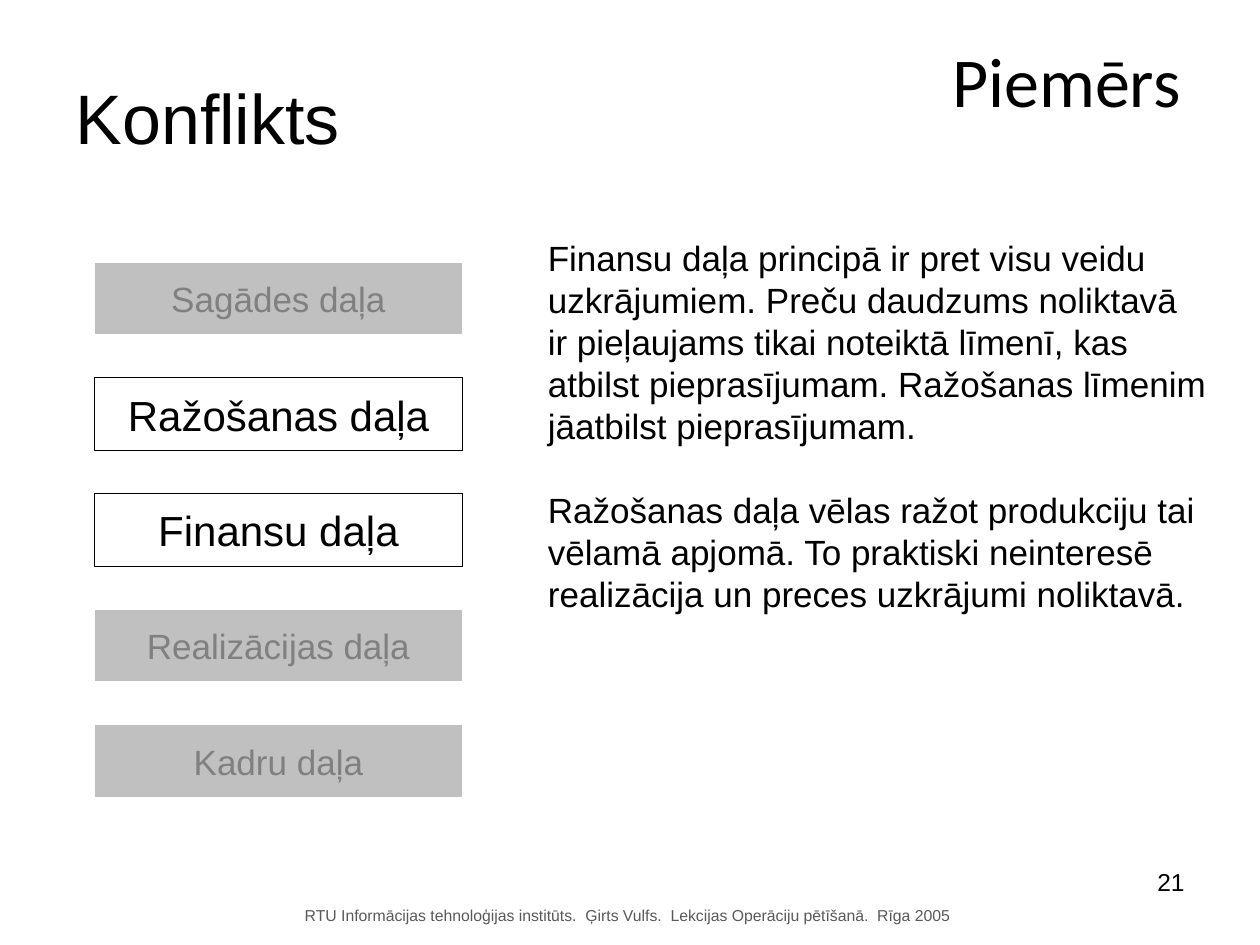
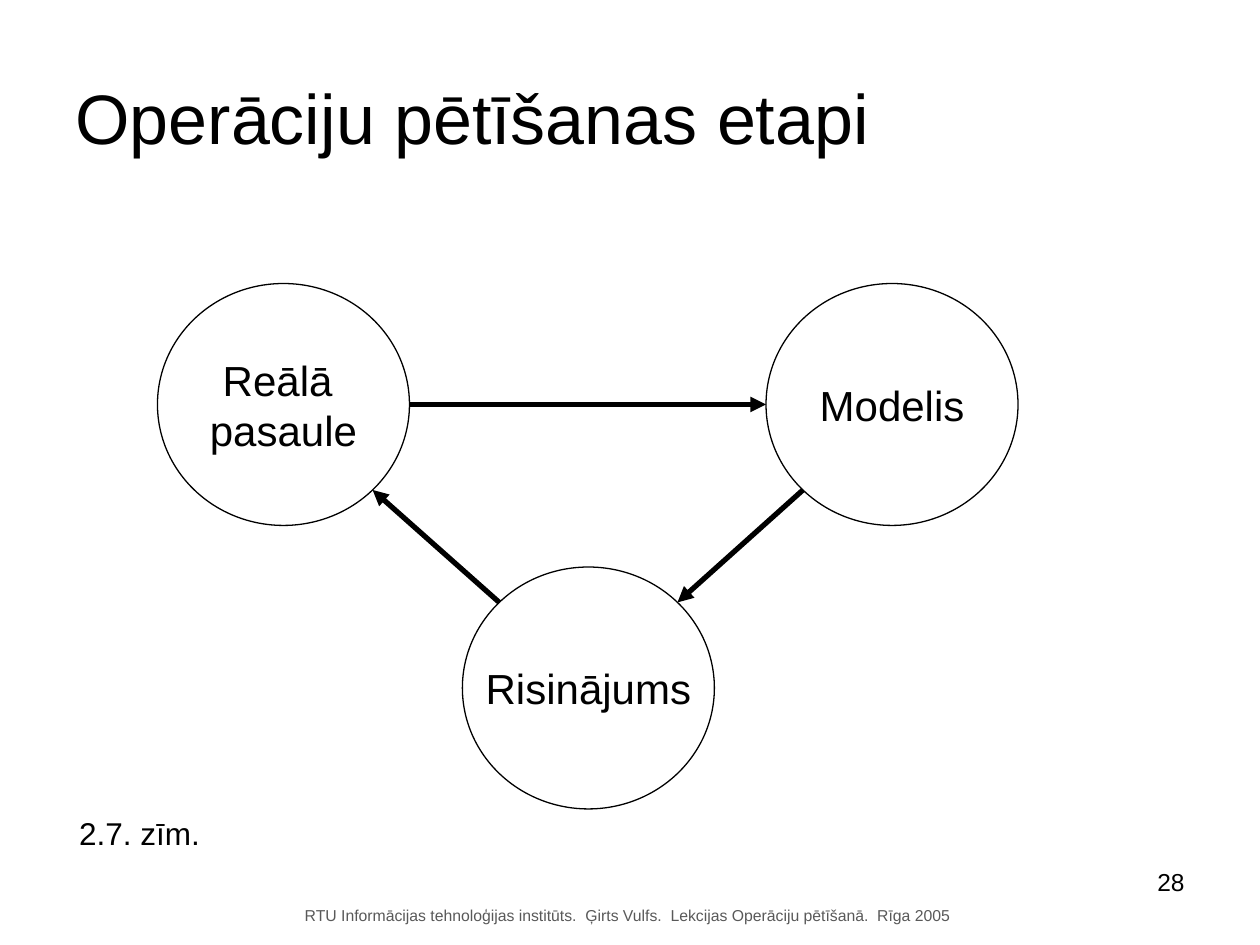
"""Build two lecture slides on conflicts between departments and research stages."""
from dataclasses import dataclass
from math import cos, radians, sin

from lxml.etree import SubElement
from pptx import Presentation
from pptx.dml.color import RGBColor
from pptx.enum.shapes import MSO_CONNECTOR, MSO_SHAPE
from pptx.enum.text import MSO_ANCHOR, MSO_AUTO_SIZE, PP_ALIGN
from pptx.oxml.ns import qn
from pptx.util import Inches, Pt

BLACK, WHITE, SILVER, GREY, FOOTER_GREY = "000000", "FFFFFF", "C0C0C0", "808080", "595959"
FOOTER = "RTU Informācijas tehnoloģijas institūts.  Ģirts Vulfs.  Lekcijas Operāciju pētīšanā.  Rīga 2005"
MARGINS = {
    "margin_left": Inches(0.1),
    "margin_right": Inches(0.1),
    "margin_top": Inches(0.05),
    "margin_bottom": Inches(0.05),
}
FREE_TEXT = {**MARGINS, "word_wrap": False, "auto_size": MSO_AUTO_SIZE.SHAPE_TO_FIT_TEXT}
CENTRED = {**MARGINS, "word_wrap": False, "vertical_anchor": MSO_ANCHOR.MIDDLE}
TITLE_FRAME = {
    **MARGINS,
    "word_wrap": True,
    "auto_size": MSO_AUTO_SIZE.NONE,
    "vertical_anchor": MSO_ANCHOR.MIDDLE,
}
PAGE_FRAME = {**MARGINS, "word_wrap": True}


@dataclass(frozen=True)
class Box:
    left: float
    top: float
    width: float
    height: float

    def lengths(self) -> tuple:
        return tuple(Inches(v) for v in (self.left, self.top, self.width, self.height))


@dataclass(frozen=True)
class TextStyle:
    size: float
    color: str = BLACK
    font: str = "Arial"
    align: PP_ALIGN = PP_ALIGN.LEFT


@dataclass(frozen=True)
class Department:
    name: str
    in_conflict: bool = False


@dataclass(frozen=True)
class Stage:
    name: str
    center_x: float
    center_y: float

    def box(self) -> Box:
        return Box(self.center_x - STAGE_RX, self.center_y - STAGE_RY, 2 * STAGE_RX, 2 * STAGE_RY)

    def edge(self, degrees: float) -> tuple:
        angle = radians(degrees)
        return (
            Inches(self.center_x + STAGE_RX * cos(angle)),
            Inches(self.center_y + STAGE_RY * sin(angle)),
        )


@dataclass(frozen=True)
class Transition:
    source: Stage
    source_angle: float
    target: Stage
    target_angle: float


TITLE_BOX = Box(0.5, 0.3, 9, 1.25)
FOOTER_BOX = Box(2.32, 7.14, 5.33, 0.25)
PAGE_BOX = Box(8.7, 6.83, 0.8, 0.52)

DEPARTMENTS = [
    Department("Sagādes daļa"),
    Department("Ražošanas daļa", True),
    Department("Finansu daļa", True),
    Department("Realizācijas daļa"),
    Department("Kadru daļa"),
]
FIRST_TOP, LAST_TOP = 2.08, 5.75
FINANCE_VIEW = """Finansu daļa principā ir pret visu veidu
uzkrājumiem. Preču daudzums noliktavā
ir pieļaujams tikai noteiktā līmenī, kas
atbilst pieprasījumam. Ražošanas līmenim
jāatbilst pieprasījumam."""
PRODUCTION_VIEW = """Ražošanas daļa vēlas ražot produkciju tai
vēlamā apjomā. To praktiski neinteresē
realizācija un preces uzkrājumi noliktavā."""

STAGE_RX, STAGE_RY = 1, 0.96
REALITY = Stage("Reālā \npasaule", 2.25, 3.21)
SOLUTION = Stage("Risinājums", 4.67, 5.46)
MODEL = Stage("Modelis", 7.08, 3.21)
TRANSITIONS = [
    Transition(REALITY, 0, MODEL, 180),
    Transition(MODEL, 135, SOLUTION, -45),
    Transition(SOLUTION, -135, REALITY, 45),
]


def rgb(color: str) -> RGBColor:
    return RGBColor.from_string(color)


def apply_format(target, values: dict) -> None:
    for key, value in values.items():
        setattr(target, key, value)


def write(frame, text: str, style: TextStyle, layout: dict) -> None:
    apply_format(frame, layout)
    frame.text = text
    for paragraph in frame.paragraphs:
        paragraph.alignment = style.align
        for run in paragraph.runs:
            apply_format(run.font, {"size": Pt(style.size), "name": style.font})
            run.font.color.rgb = rgb(style.color)


def add_text(slide, box: Box, text: str, style: TextStyle, layout: dict = FREE_TEXT) -> None:
    write(slide.shapes.add_textbox(*box.lengths()).text_frame, text, style, layout)


def add_node(slide, kind: MSO_SHAPE, box: Box, text: str, style: TextStyle,
             fill: str = WHITE, outline: str = BLACK) -> None:
    node = slide.shapes.add_shape(kind, *box.lengths())
    node.shadow.inherit = False
    node.fill.solid()
    node.fill.fore_color.rgb = rgb(fill)
    node.line.color.rgb = rgb(outline)
    node.line.width = Pt(0.75)
    write(node.text_frame, text, style, CENTRED)


def add_arrow(slide, transition: Transition) -> None:
    start = transition.source.edge(transition.source_angle)
    end = transition.target.edge(transition.target_angle)
    arrow = slide.shapes.add_connector(MSO_CONNECTOR.STRAIGHT, *start, *end)
    arrow.line.color.rgb = rgb(BLACK)
    arrow.line.width = Pt(3)
    SubElement(arrow.line._get_or_add_ln(), qn("a:tailEnd"), type="triangle")
    SubElement(arrow._element.spPr, qn("a:effectLst"))


def add_lecture_slide(deck, title: str, page: int):
    slide = deck.slides.add_slide(deck.slide_layouts.get_by_name("Title Only"))
    heading = slide.shapes.title
    apply_format(heading, dict(zip(("left", "top", "width", "height"), TITLE_BOX.lengths())))
    write(heading.text_frame, title, TextStyle(40), TITLE_FRAME)
    add_text(slide, FOOTER_BOX, FOOTER, TextStyle(9, FOOTER_GREY))
    add_text(slide, PAGE_BOX, str(page), TextStyle(14, align=PP_ALIGN.RIGHT), PAGE_FRAME)
    return slide


def build_conflict(deck) -> None:
    slide = add_lecture_slide(deck, "Konflikts", 21)
    pitch = (LAST_TOP - FIRST_TOP) / (len(DEPARTMENTS) - 1)
    for row, department in enumerate(DEPARTMENTS):
        size, color, fill, outline = (
            (24, BLACK, WHITE, BLACK) if department.in_conflict else (20, GREY, SILVER, WHITE)
        )
        add_node(slide, MSO_SHAPE.RECTANGLE, Box(0.75, FIRST_TOP + row * pitch, 2.92, 0.58),
                 department.name, TextStyle(size, color, align=PP_ALIGN.CENTER), fill, outline)
    add_text(slide, Box(4.25, 1.83, 5.43, 1.77), FINANCE_VIEW, TextStyle(20))
    add_text(slide, Box(4.25, 3.83, 5.41, 1.1), PRODUCTION_VIEW, TextStyle(20))
    add_text(slide, Box(7.46, 0.25, 2.32, 0.77), "Piemērs", TextStyle(40, font="Calibri"))


def build_stages(deck) -> None:
    slide = add_lecture_slide(deck, "Operāciju pētīšanas etapi", 28)
    for stage in (REALITY, SOLUTION, MODEL):
        add_node(slide, MSO_SHAPE.OVAL, stage.box(), stage.name,
                 TextStyle(24, align=PP_ALIGN.CENTER))
    for transition in TRANSITIONS:
        add_arrow(slide, transition)
    add_text(slide, Box(0.53, 6.41, 1.16, 0.4), "2.7. zīm.", TextStyle(18))


def main() -> None:
    deck = Presentation()
    apply_format(deck, {"slide_width": Inches(10), "slide_height": Inches(7.5)})
    build_conflict(deck)
    build_stages(deck)
    deck.save("out.pptx")


if __name__ == "__main__":
    main()
